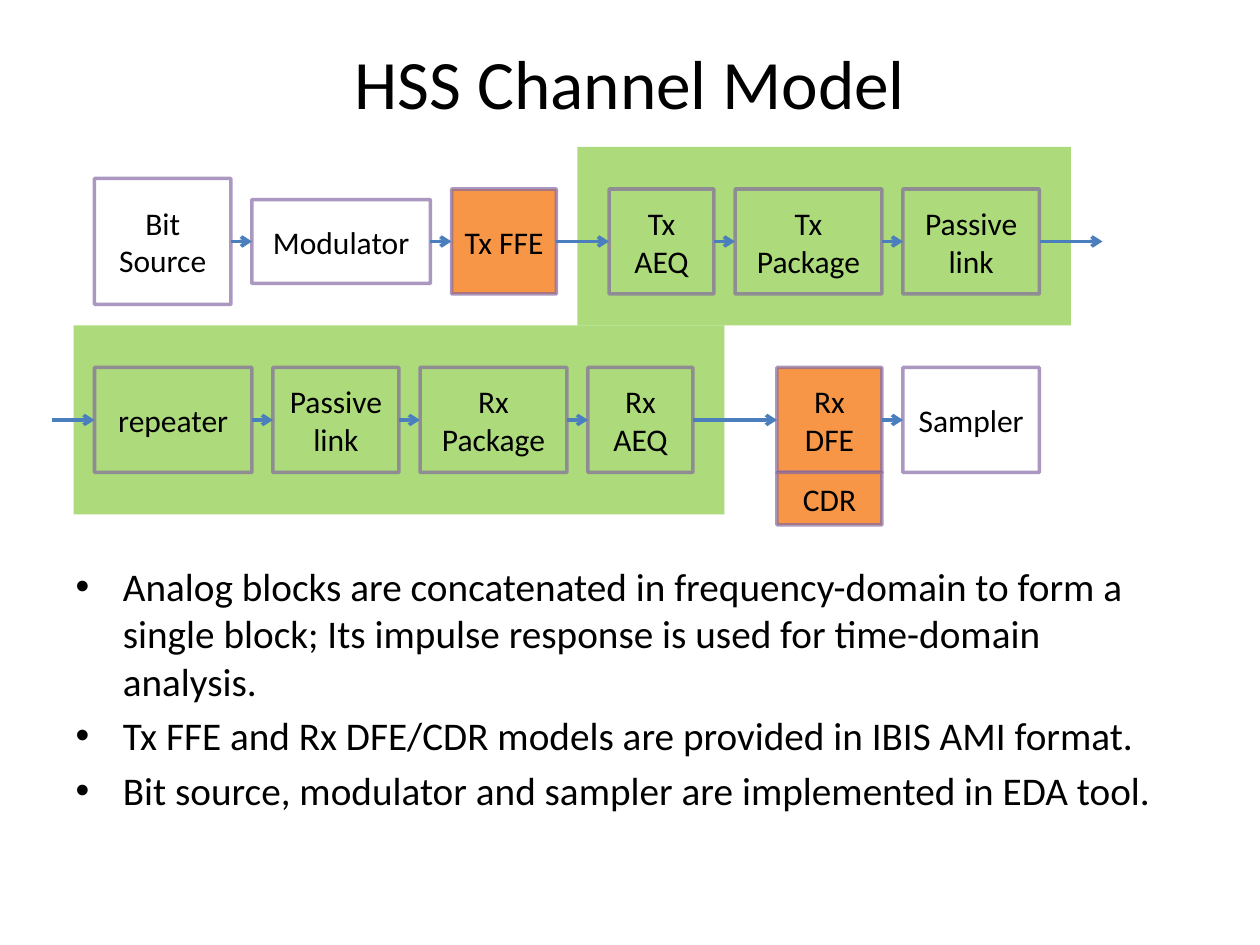
from dataclasses import dataclass

from pptx import Presentation
from pptx.dml import color
from pptx.enum import shapes, text
from pptx.oxml import ns
from pptx.util import Pt
from lxml import etree


@dataclass(frozen=True)
class Theme:
    font: str = "Calibri"
    ink: str = "000000"
    analog: str = "92D050"
    digital: str = "F79646"
    border: str = "8064A2"
    arrow: str = "4B7EBC"
    title_size: float = 39.6
    body_size: float = 22.4
    block_size: float = 18
    line_width: float = 2


THEME = Theme()
TX_AXIS, RX_AXIS = 138, 240
REGIONS = [(42, 186, 372, 108), (330, 84, 282, 102)]
TX_BLOCKS = [
    ("Bit Source", 54, 78, 72, None),
    ("Modulator", 144, 102, 48, None),
    ("Tx FFE", 258, 60, 60, THEME.digital),
    ("Tx AEQ", 348, 60, 60, None),
    ("Tx Package", 420, 84, 60, None),
    ("Passive link", 516, 78, 60, None),
]
RX_BLOCKS = [
    ("repeater", 54, 90, 60, None),
    ("Passive link", 156, 72, 60, None),
    ("Rx Package", 240, 84, 60, None),
    ("Rx AEQ", 336, 60, 60, None),
    ("Rx DFE", 444, 60, 60, THEME.digital),
    ("Sampler", 516, 78, 60, None),
]
POINTS = [
    "Analog blocks are concatenated in frequency-domain to form a single block; "
    "Its impulse response is used for time-domain analysis.",
    "Tx FFE and Rx DFE/CDR models are provided in IBIS AMI format.",
    "Bit source, modulator and sampler are implemented in EDA tool.",
]


def rgb(value):
    return color.RGBColor.from_string(value)


def set_alpha(parent, percent):
    for node in parent.iter(ns.qn("a:srgbClr")):
        etree.SubElement(node, ns.qn("a:alpha"), val=str(percent * 1000))


def style_text(frame, size):
    for para in frame.paragraphs:
        for span in para.runs:
            span.font.name = THEME.font
            span.font.size = Pt(size)
            span.font.color.rgb = rgb(THEME.ink)


def fill_placeholder(holder, content, bounds, size):
    holder.left, holder.top, holder.width, holder.height = map(Pt, bounds)
    frame = holder.text_frame
    frame.text = content
    frame.auto_size = text.MSO_AUTO_SIZE.NONE
    style_text(frame, size)


def add_rectangle(page, left, top, width, height, fill):
    box = page.shapes.add_shape(
        shapes.MSO_SHAPE.RECTANGLE, Pt(left), Pt(top), Pt(width), Pt(height))
    box.shadow.inherit = False
    if fill:
        box.fill.solid()
        box.fill.fore_color.rgb = rgb(fill)
    else:
        box.fill.background()
    return box


def add_region(page, bounds):
    box = add_rectangle(page, *bounds, THEME.analog)
    set_alpha(box.fill._xPr.find(ns.qn("a:solidFill")), 75)
    box.line.fill.background()


def add_block(page, label, left, top, width, height, fill):
    box = add_rectangle(page, left, top, width, height, fill)
    box.line.color.rgb = rgb(THEME.border)
    box.line.width = Pt(THEME.line_width)
    set_alpha(box.line._get_or_add_ln(), 65)
    frame = box.text_frame
    frame.word_wrap = True
    frame.vertical_anchor = text.MSO_ANCHOR.MIDDLE
    frame.text = label
    frame.paragraphs[0].alignment = text.PP_ALIGN.CENTER
    style_text(frame, THEME.block_size)


def add_arrow(page, start, end, axis):
    arrow = page.shapes.add_connector(
        shapes.MSO_CONNECTOR.STRAIGHT, Pt(start), Pt(axis), Pt(end), Pt(axis))
    arrow.line.color.rgb = rgb(THEME.arrow)
    arrow.line.width = Pt(THEME.line_width)
    etree.SubElement(arrow.line._get_or_add_ln(), ns.qn("a:tailEnd"), type="arrow")
    etree.SubElement(arrow._element.spPr, ns.qn("a:effectLst"))


def add_chain(page, blocks, axis, entry=None, leave=None):
    previous = entry
    for label, left, width, height, fill in blocks:
        add_block(page, label, left, axis - height / 2, width, height, fill)
        if previous is not None:
            add_arrow(page, previous, left, axis)
        previous = left + width
    if leave is not None:
        add_arrow(page, previous, leave, axis)


def main():
    deck = Presentation()
    deck.slide_width, deck.slide_height = Pt(720), Pt(540)
    page = deck.slides.add_slide(deck.slide_layouts[1])
    title, body = page.placeholders
    fill_placeholder(title, "HSS Channel Model", (36, 21.6, 648, 50.4), THEME.title_size)
    fill_placeholder(body, "\n".join(POINTS), (36, 318, 648, 164), THEME.body_size)
    for bounds in REGIONS:
        add_region(page, bounds)
    add_chain(page, TX_BLOCKS, TX_AXIS, leave=630)
    add_chain(page, RX_BLOCKS, RX_AXIS, entry=30)
    add_block(page, "CDR", 444, 270, 60, 30, THEME.digital)
    deck.save("out.pptx")


main()
